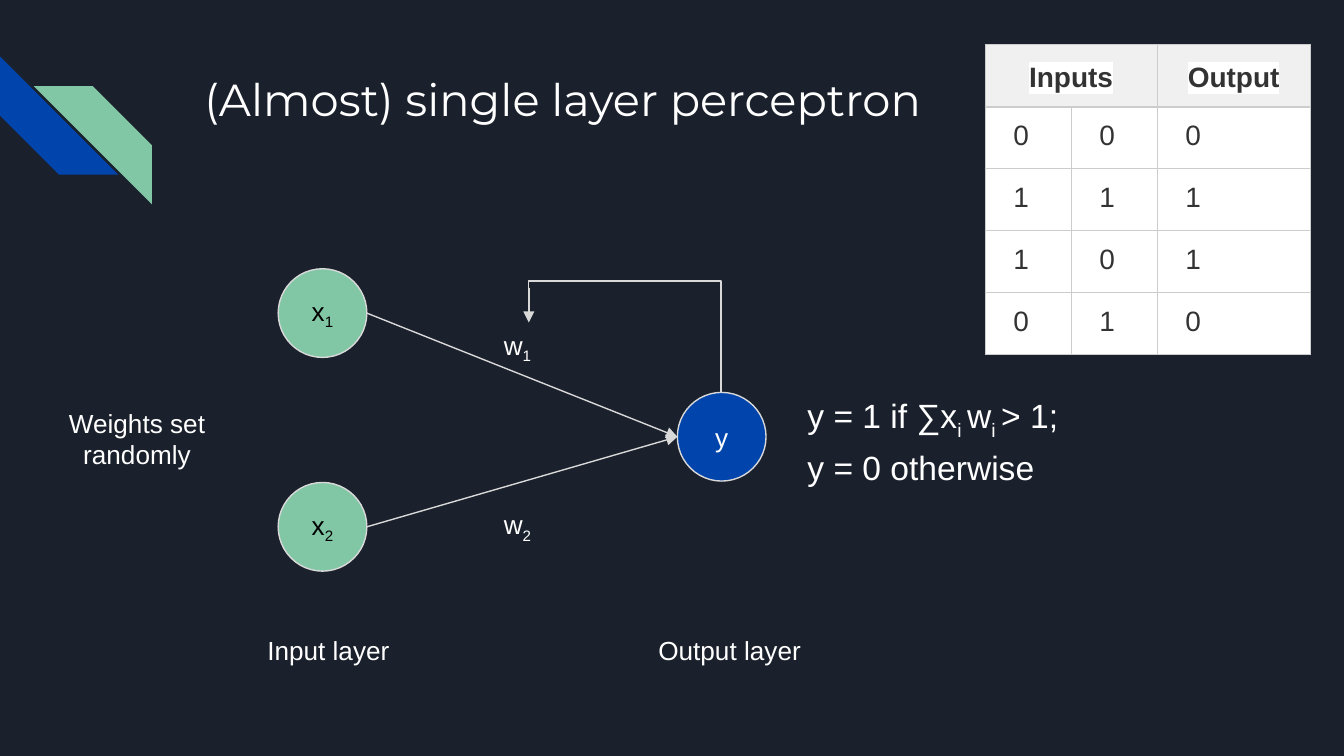
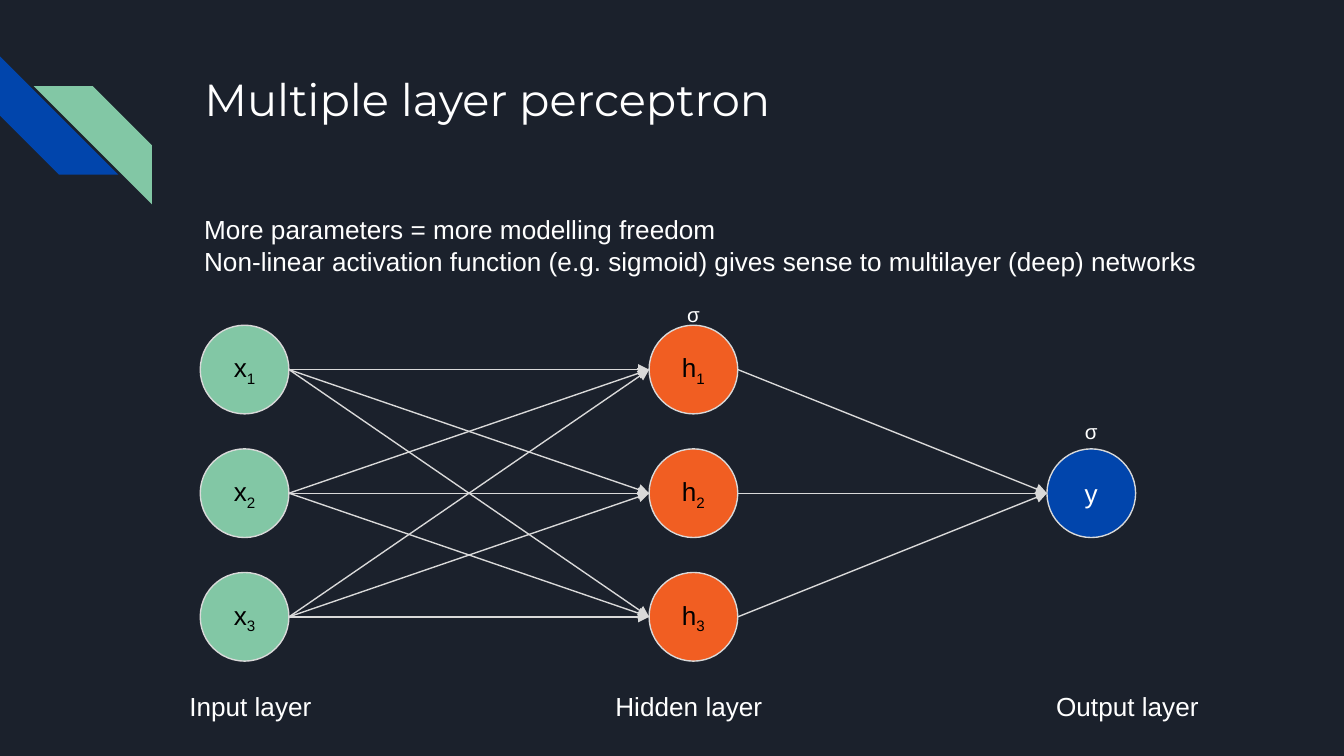
from collections import namedtuple
from itertools import product

from lxml import etree
from pptx import Presentation
from pptx.dml.color import RGBColor
from pptx.enum.shapes import MSO_CONNECTOR, MSO_SHAPE
from pptx.enum.text import MSO_ANCHOR, MSO_AUTO_SIZE, PP_ALIGN
from pptx.oxml.ns import qn
from pptx.util import Inches, Pt

NAVY = RGBColor(0x1B, 0x21, 0x2C)
BLUE = RGBColor(0x01, 0x45, 0xAC)
GREEN = RGBColor(0x82, 0xC7, 0xA5)
ORANGE = RGBColor(0xF1, 0x5E, 0x22)
WHITE = RGBColor(0xFF, 0xFF, 0xFF)
BLACK = RGBColor(0x00, 0x00, 0x00)
LINE_GREY = RGBColor(0xD9, 0xD9, 0xD9)
BORDER_GREY = RGBColor(0xCC, 0xCC, 0xCC)
HEADER_GREY = RGBColor(0xF0, 0xF0, 0xF0)
TABLE_INK = RGBColor(0x33, 0x33, 0x33)

LEFT, CENTER = PP_ALIGN.LEFT, PP_ALIGN.CENTER
TOP, MIDDLE = MSO_ANCHOR.TOP, MSO_ANCHOR.MIDDLE
NO_AUTOFIT = MSO_AUTO_SIZE.NONE
STRAIGHT, ELBOW = MSO_CONNECTOR.STRAIGHT, MSO_CONNECTOR.ELBOW
STRIPE = MSO_SHAPE.DIAGONAL_STRIPE
CIRCLE = MSO_SHAPE.FLOWCHART_CONNECTOR

TITLE_ONLY = 5
SUBSCRIPT = "~"
NODE = 6.6
LINE_WIDTH = Pt(0.75)


def cells(count):
    return Inches(count / 10)


class Box(namedtuple("Box", "col row width height")):
    def inner(self, col, row, width, height):
        return Box(self.col + col, self.row + row, width, height)

    def emu(self):
        return [cells(length) for length in self]


Layer = namedtuple(
    "Layer", "symbol colour ink col rows caption caption_col caption_width sigma_rise",
    defaults=[0])


def write(frame, lines, size=14, colour=WHITE, font="Arial", align=LEFT, anchor=TOP,
          spacing=None, gap=0, bold=False, highlight=None, margin=0.1):
    if margin is not None:
        frame.word_wrap = True
        frame.auto_size = NO_AUTOFIT
        frame.vertical_anchor = anchor
        frame.margin_left = frame.margin_right = Inches(margin)
        frame.margin_top = frame.margin_bottom = Inches(margin)
    for index, line in enumerate(lines):
        paragraph = frame.add_paragraph() if index else frame.paragraphs[0]
        paragraph.alignment = align
        paragraph.space_before = Pt(gap if index else 0)
        if spacing:
            paragraph.line_spacing = spacing
        for part, words in enumerate(line.split(SUBSCRIPT)):
            run = paragraph.add_run()
            run.text = words
            run.font.size = Pt(size)
            run.font.name = font
            run.font.bold = bold
            run.font.color.rgb = colour
            properties = run._r.get_or_add_rPr()
            if part % 2:
                properties.set("baseline", "-25000")
            if highlight:
                marker = etree.Element(qn("a:highlight"))
                etree.SubElement(marker, qn("a:srgbClr"), val=str(highlight))
                properties.find(qn("a:solidFill")).addnext(marker)


def label(slide, box, *lines, **text_format):
    write(slide.shapes.add_textbox(*box.emu()).text_frame, lines, **text_format)


def connect(slide, start, end, kind=STRAIGHT, arrow=True):
    link = slide.shapes.add_connector(kind, *map(cells, (*start, *end)))
    link.line.color.rgb = LINE_GREY
    link.line.width = LINE_WIDTH
    properties = link.element.spPr
    if arrow:
        etree.SubElement(properties.find(qn("a:ln")), qn("a:tailEnd"), type="triangle")
    etree.SubElement(properties, qn("a:effectLst"))
    return link


def node(slide, box, name, colour, ink):
    circle = slide.shapes.add_shape(CIRCLE, *box.emu())
    circle.shadow.inherit = False
    circle.fill.solid()
    circle.fill.fore_color.rgb = colour
    circle.line.color.rgb = LINE_GREY
    circle.line.width = LINE_WIDTH
    write(circle.text_frame, [name], colour=ink, align=CENTER, anchor=MIDDLE)


def network(slide, box, layers):
    sources = []
    for layer in layers:
        targets = [box.inner(layer.col, row, NODE, NODE) for row in layer.rows]
        for number, target in enumerate(targets, 1):
            suffix = f"{SUBSCRIPT}{number}" if len(targets) > 1 else ""
            node(slide, target, layer.symbol + suffix, layer.colour, layer.ink)
        for source, target in product(sources, targets):
            connect(slide, (source.col + NODE, source.row + NODE / 2),
                    (target.col, target.row + NODE / 2))
        label(slide, box.inner(layer.caption_col, box.height - 4.4,
                               layer.caption_width, 4.4), layer.caption)
        if layer.sigma_rise:
            label(slide, targets[0].inner(NODE / 2 - 1.95, -layer.sigma_rise, 3.9, 7.6),
                  "σ", size=11, align=CENTER, spacing=1.15)
        sources = targets


def feedback_loop(slide, box):
    centre_col = box.col + box.width / 2
    centre_row = box.row + box.height / 2
    half_drop, half_span = box.height / 2, box.width / 2
    loop = connect(slide, (centre_col + half_drop, centre_row - half_span),
                   (centre_col - half_drop, centre_row + half_span), ELBOW, arrow=False)
    properties = loop.element.spPr
    properties.find(qn("a:xfrm")).set("rot", "5400000")
    etree.SubElement(properties.find(qn("a:prstGeom")).find(qn("a:avLst")), qn("a:gd"),
                     name="adj1", fmla="val 145400")
    connect(slide, (box.col, box.row - 2.1), (box.col, box.row + 0.5))


def border(cell):
    properties = cell._tc.get_or_add_tcPr()
    for place, side in enumerate(("lnL", "lnR", "lnT", "lnB")):
        edge = etree.Element(qn(f"a:{side}"), w=str(LINE_WIDTH))
        paint = etree.SubElement(edge, qn("a:solidFill"))
        etree.SubElement(paint, qn("a:srgbClr"), val=str(BORDER_GREY))
        properties.insert(place, edge)


def truth_table(slide, box, records):
    rows = [("Inputs", "", "Output"), *records]
    table = slide.shapes.add_table(len(rows), 3, *box.emu()).table
    table.first_row = table.horz_banding = False
    for column, width in zip(table.columns, (6.4, 6.4, 11.4)):
        column.width = cells(width)
    table.cell(0, 0).merge(table.cell(0, 1))
    for (r, record), c in product(enumerate(rows), range(3)):
        cell, header = table.cell(r, c), r == 0
        cell.fill.solid()
        cell.fill.fore_color.rgb = HEADER_GREY if header else WHITE
        cell.margin_left = Inches(0.21)
        cell.margin_right = Inches(0.21 if header else 0.05)
        cell.margin_top = cell.margin_bottom = Inches(0.1)
        border(cell)
        if record[c]:
            write(cell.text_frame, [record[c]], size=15, colour=TABLE_INK, margin=None,
                  align=CENTER if header else LEFT, spacing=1.15 if header else None,
                  bold=header, highlight=WHITE if header else None)


def stripes(slide, layout, box):
    for col, row, colour, turn in ((0, 0, BLUE, 270), (2.5, 2.2, GREEN, 0)):
        stripe = slide.shapes.add_shape(STRIPE, *box.inner(col, row, 8.8, 8.8).emu())
        stripe.adjustments[0] = 0.5
        stripe.rotation = turn
        stripe.shadow.inherit = False
        stripe.fill.solid()
        stripe.fill.fore_color.rgb = colour
        stripe.line.fill.background()
        if not turn:
            stripe.element.spPr.find(qn("a:xfrm")).set("flipH", "1")
        layout.shapes.element.append(stripe.element)


def titled_slide(deck, title):
    slide = deck.slides.add_slide(deck.slide_layouts[TITLE_ONLY])
    heading = slide.shapes.title
    heading.left, heading.top, heading.width, heading.height = Box(14.2, 4.3, 77, 10).emu()
    write(heading.text_frame, [title], size=24, font="Montserrat")
    return slide


def single_layer_slide(deck):
    slide = titled_slide(deck, "(Almost) single layer perceptron")
    network(slide, Box(18.9, 20, 44.5, 30.6), [
        Layer("x", GREEN, BLACK, 1.8, (0, 15.9), "Input layer", 0, 11.2),
        Layer("y", BLUE, WHITE, 31.5, (9.2,), "Output layer", 29.1, 15.4)])
    label(slide, Box(36.5, 23.5, 5.8, 14.9), "w~1", "w~2", gap=77)
    label(slide, Box(59.1, 27.9, 40, 9.2), "y = 1 if ∑x~i ~w~i ~> 1;", "y = 0 otherwise",
          size=18, spacing=1.15)
    feedback_loop(slide, Box(39.35, 23.5, 14.3, 5.7))
    truth_table(slide, Box(73.3, 3.3, 24.2, 23), ["000", "111", "101", "010"])
    label(slide, Box(1.9, 29.3, 16.6, 6.6), "Weights set", "randomly", align=CENTER)
    return slide


def multiple_layer_slide(deck):
    slide = titled_slide(deck, "Multiple layer perceptron")
    rows = [9.2 * step for step in range(3)]
    network(slide, Box(13.1, 24.2, 79.9, 30.6), [
        Layer("x", GREEN, BLACK, 1.8, rows, "Input layer", 0, 11.2),
        Layer("h", ORANGE, BLACK, 35.2, rows, "Hidden layer", 31.7, 14.5, 3),
        Layer("y", BLUE, WHITE, 64.8, rows[1:2], "Output layer", 64.5, 15.4, 3.5)])
    label(slide, Box(14.2, 14.9, 82.8, 7.6), "More parameters = more modelling freedom",
          "Non-linear activation function (e.g. sigmoid) gives sense to "
          "multilayer (deep) networks")


def main():
    deck = Presentation()
    deck.slide_width = Inches(10)
    deck.slide_height = deck.slide_width * 9 // 16
    backdrop = deck.slide_master.background.fill
    backdrop.solid()
    backdrop.fore_color.rgb = NAVY
    first = single_layer_slide(deck)
    stripes(first, deck.slide_layouts[TITLE_ONLY], Box(0, 4.2, 11.3, 11))
    multiple_layer_slide(deck)
    deck.save("out.pptx")


if __name__ == "__main__":
    main()
